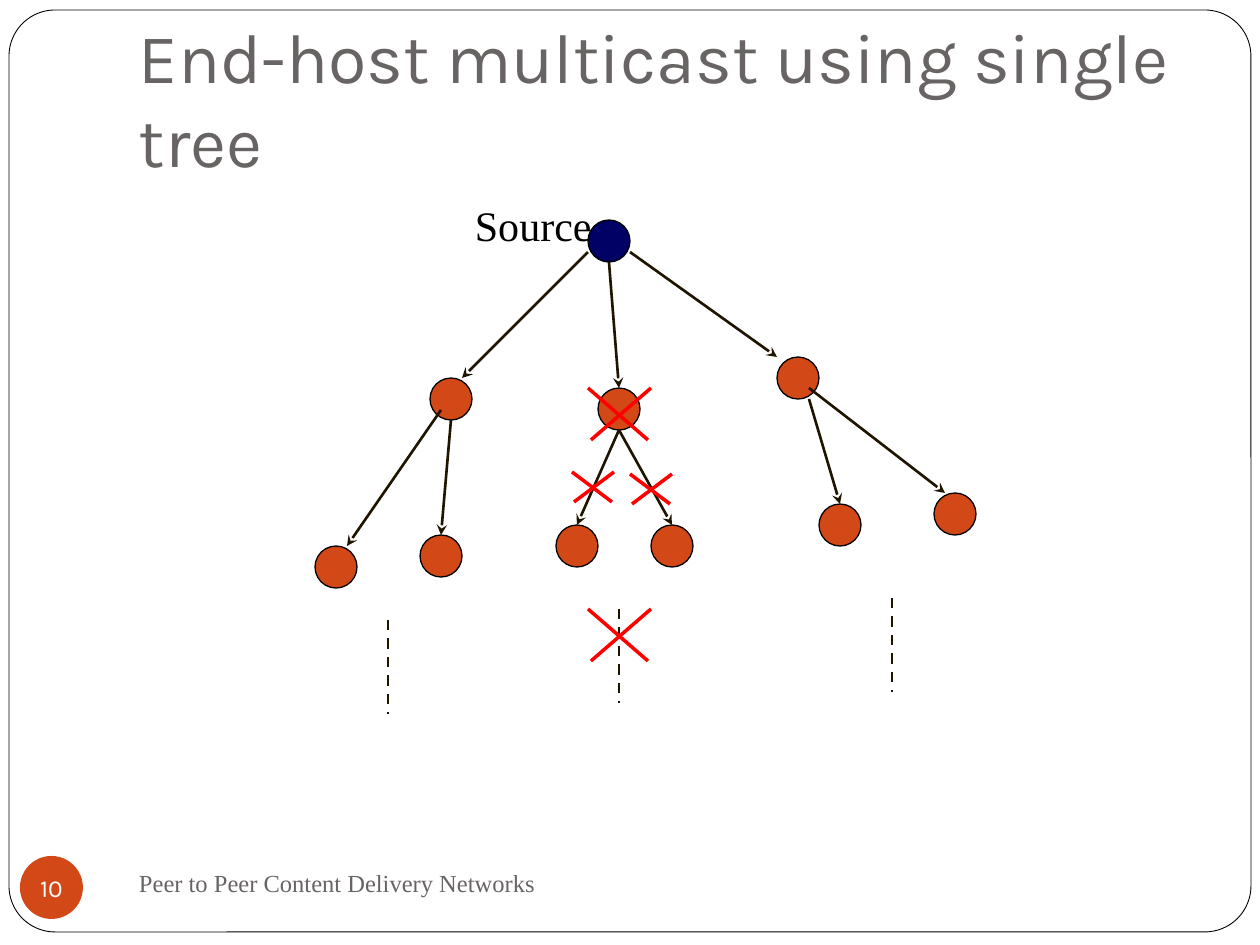
from lxml import etree
from pptx import Presentation
from pptx import util as u
from pptx.dml.color import RGBColor
from pptx.enum import dml, shapes, text
from pptx.oxml.ns import qn

EMU_PER_PX = 914400 / 126
COLORS = {
    "paper": "FFFFFF", "outline": "000000", "heading": "696464",
    "host": "D34817", "source": "000065", "link": "1E1400", "failure": "FF0000",
}
NODE_SIZE = 42
SOURCE = (588, 220)
HOSTS = [
    (430, 378), (598, 388), (777, 357),
    (315, 546), (420, 535), (556, 525), (651, 525), (819, 504), (934, 493),
]
LINKS = [
    ((609, 262), (619, 388)), ((588, 252), (462, 378)), ((630, 252), (777, 357)),
    ((619, 430), (577, 525)), ((619, 430), (672, 525)),
    ((441, 410), (347, 546)), ((451, 420), (441, 535)),
    ((809, 399), (840, 504)), ((809, 388), (945, 493)),
]
CONTINUATIONS = [(388, 620), (892, 598), (619, 609)]
CONTINUATION_LENGTH = 94
# left, top, width, height, sideways shift between the two strokes
CROSSES = [
    (588, 388, 63, 52, 3), (630, 474, 42, 30, 2),
    (572, 472, 42, 30, 2), (588, 609, 63, 52, 3),
]


def px(*lengths):
    return [u.Emu(round(length * EMU_PER_PX)) for length in lengths]


def rgb(name):
    return RGBColor.from_string(COLORS[name])


def write(shape, words, *, size, font, color, align=text.PP_ALIGN.LEFT,
          anchor=text.MSO_ANCHOR.TOP, insets=(13, 6, 13, 6), wrap=True):
    frame = shape.text_frame
    frame.text = words
    frame.word_wrap = wrap
    frame.auto_size = text.MSO_AUTO_SIZE.NONE
    frame.vertical_anchor = anchor
    (frame.margin_left, frame.margin_top,
     frame.margin_right, frame.margin_bottom) = px(*insets)
    paragraph = frame.paragraphs[0]
    paragraph.alignment = align
    paragraph.font.size = u.Pt(size)
    paragraph.font.name = font
    paragraph.font.color.rgb = rgb(color)


def add_shape(slide, preset, box, fill, line_width=0):
    shape = slide.shapes.add_shape(preset, *px(*box))
    shape.shadow.inherit = False
    shape.fill.solid()
    shape.fill.fore_color.rgb = rgb(fill)
    if line_width:
        shape.line.color.rgb = rgb("outline")
        shape.line.width = u.Pt(line_width)
    else:
        shape.line.fill.background()
    return shape


def add_node(slide, corner, fill):
    add_shape(slide, shapes.MSO_SHAPE.OVAL, (*corner, NODE_SIZE, NODE_SIZE), fill, 0.75)


def add_line(parent, start, end, *, color="link", width=1.5, dashed=False, arrow=False):
    line = parent.shapes.add_connector(
        shapes.MSO_CONNECTOR.STRAIGHT, *px(*start, *end))
    line.line.color.rgb = rgb(color)
    line.line.width = u.Pt(width)
    if dashed:
        line.line.dash_style = dml.MSO_LINE.DASH
    if arrow:
        etree.SubElement(line.line._get_or_add_ln(), qn("a:tailEnd"), type="stealth")
    etree.SubElement(line._element.spPr, qn("a:effectLst"))


def add_cross(slide, left, top, width, height, shift):
    cross = slide.shapes.add_group_shape()
    right, bottom = left + width, top + height
    add_line(cross, (left, top), (right - shift, bottom), color="failure", width=2)
    add_line(cross, (left + shift, bottom), (right, top), color="failure", width=2)


def add_frame(slide):
    """Add the rounded page frame behind everything else."""
    frame = add_shape(slide, shapes.MSO_SHAPE.ROUNDED_RECTANGLE,
                      (9, 10, 1242, 922), "paper", 0.5)
    frame.adjustments[0] = 0.05
    slide.shapes._spTree.insert(2, frame._element)


def add_title(slide, words):
    title = slide.shapes.title
    title.left, title.top, title.width, title.height = px(126, 38, 1071, 157)
    write(title, words, size=40, font="Karla", color="heading",
          anchor=text.MSO_ANCHOR.BOTTOM, insets=(13, 6, 13, 13))


def add_label(slide, words, box, **text_format):
    label = slide.shapes.add_textbox(*px(*box))
    write(label, words, font="Times New Roman", **text_format)


def add_page_number(slide, number):
    badge = add_shape(slide, shapes.MSO_SHAPE.OVAL, (20, 856, 63, 63), "host")
    write(badge, number, size=14, font="Karla", color="paper",
          align=text.PP_ALIGN.CENTER, anchor=text.MSO_ANCHOR.MIDDLE,
          insets=(0, 0, 0, 0), wrap=False)


def main():
    deck = Presentation()
    deck.slide_width, deck.slide_height = px(1260, 945)
    slide = deck.slides.add_slide(deck.slide_layouts[5])
    add_frame(slide)
    add_title(slide, "End-host multicast using single tree")

    add_node(slide, SOURCE, "source")
    for corner in HOSTS:
        add_node(slide, corner, "host")
    for start, end in LINKS:
        add_line(slide, start, end, arrow=True)
    add_label(slide, "Source", (462, 194, 141, 63), size=24, color="outline", wrap=False)
    for x, top in CONTINUATIONS:
        add_line(slide, (x, top), (x, top + CONTINUATION_LENGTH), dashed=True)
    for cross in CROSSES:
        add_cross(slide, *cross)

    add_label(slide, "Peer to Peer Content Delivery Networks", (126, 851, 546, 63),
              size=14, color="heading", anchor=text.MSO_ANCHOR.MIDDLE)
    add_page_number(slide, "10")
    deck.save("out.pptx")


if __name__ == "__main__":
    main()
